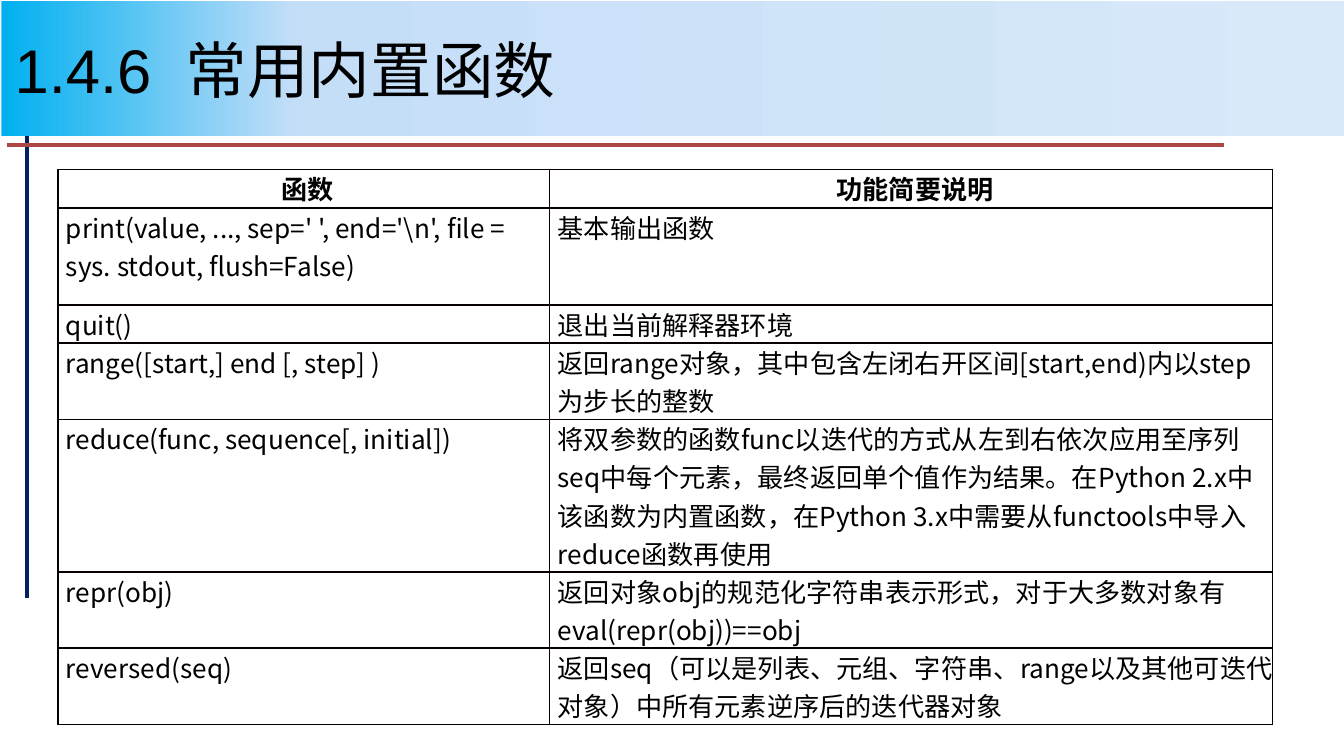
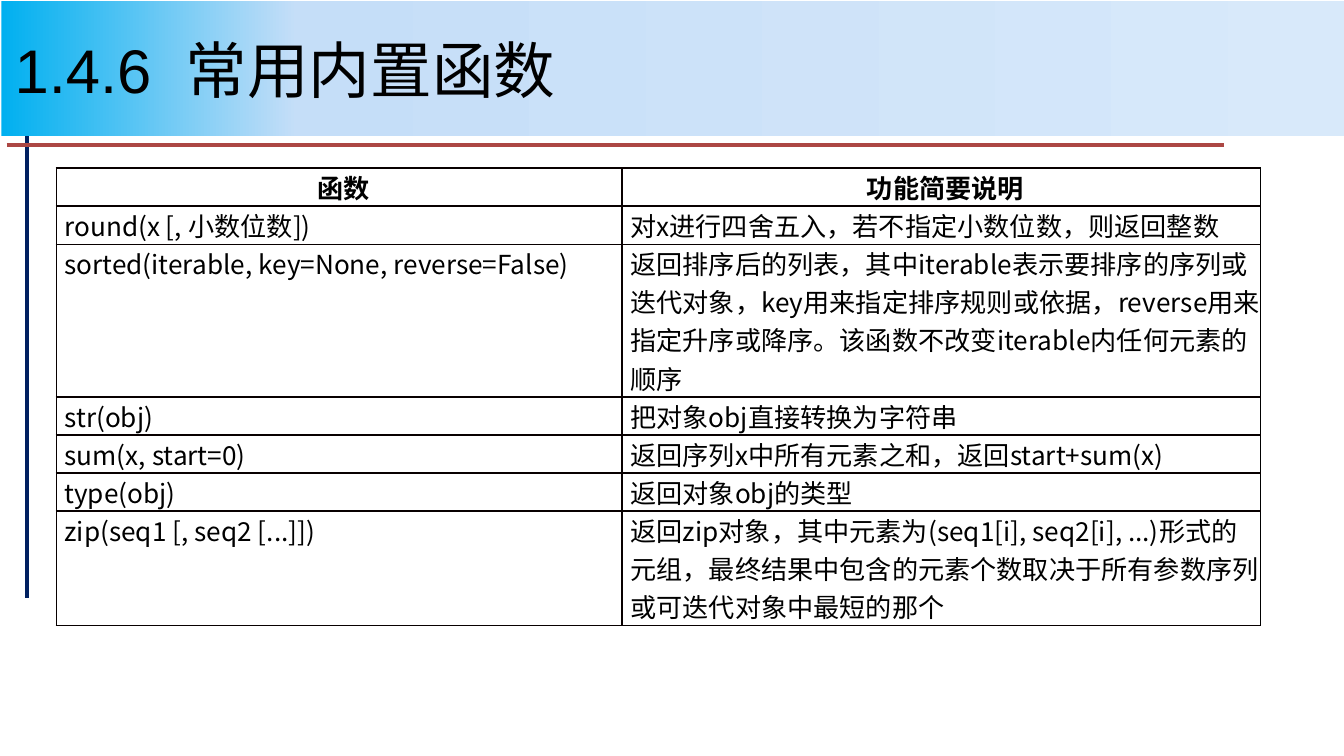
from lxml.etree import SubElement
from pptx import Presentation
from pptx.dml.color import RGBColor
from pptx.enum.shapes import MSO_CONNECTOR, MSO_SHAPE
from pptx.enum.text import MSO_ANCHOR, PP_ALIGN
from pptx.oxml.ns import qn
from pptx.util import Inches, Pt

SLIDE_WIDTH = Inches(10)
SLIDE_HEIGHT = SLIDE_WIDTH * 9 // 16

BLACK = RGBColor(0x00, 0x00, 0x00)
BORDER = RGBColor(0x08, 0x00, 0x00)
NAVY = RGBColor(0x00, 0x20, 0x60)
RED = RGBColor(0xAC, 0x47, 0x44)
# Title band gradient: (position in percent, colour)
BAND_STOPS = [
    (0, RGBColor(0x00, 0xB0, 0xF0)),
    (22, RGBColor(0xC5, 0xDE, 0xF8)),
    (100, RGBColor(0xD8, 0xE9, 0xFA)),
]

TITLE_FONT = "Arial"
BODY_FONT = "Noto Sans CJK SC"
TITLE = "1.4.6  常用内置函数"
HEADER = ("函数", "功能简要说明")

# Functions shown on each slide
FUNCTIONS_PRINT_TO_REVERSED = [
    (r"print(value, ..., sep=' ', end='\n', file = sys. stdout, flush=False)",
     "基本输出函数"),
    ("quit()", "退出当前解释器环境"),
    ("range([start,] end [, step] )",
     "返回range对象，其中包含左闭右开区间[start,end)内以step为步长的整数"),
    ("reduce(func, sequence[, initial])",
     "将双参数的函数func以迭代的方式从左到右依次应用至序列seq中每个元素，"
     "最终返回单个值作为结果。在Python 2.x中该函数为内置函数，"
     "在Python 3.x中需要从functools中导入reduce函数再使用"),
    ("repr(obj)",
     "返回对象obj的规范化字符串表示形式，对于大多数对象有eval(repr(obj))==obj"),
    ("reversed(seq)",
     "返回seq（可以是列表、元组、字符串、range以及其他可迭代对象）"
     "中所有元素逆序后的迭代器对象"),
]
FUNCTIONS_ROUND_TO_ZIP = [
    ("round(x [, 小数位数])", "对x进行四舍五入，若不指定小数位数，则返回整数"),
    ("sorted(iterable, key=None, reverse=False)",
     "返回排序后的列表，其中iterable表示要排序的序列或迭代对象，"
     "key用来指定排序规则或依据，reverse用来指定升序或降序。"
     "该函数不改变iterable内任何元素的顺序"),
    ("str(obj)", "把对象obj直接转换为字符串"),
    ("sum(x, start=0)", "返回序列x中所有元素之和，返回start+sum(x)"),
    ("type(obj)", "返回对象obj的类型"),
    ("zip(seq1 [, seq2 [...]])",
     "返回zip对象，其中元素为(seq1[i], seq2[i], ...)形式的元组，"
     "最终结果中包含的元素个数取决于所有参数序列或可迭代对象中最短的那个"),
]


def format_text(paragraph, size, latin_font, bold=False):
    for run in paragraph.runs:
        font = run.font
        font.size = Pt(size)
        font.name = latin_font
        font.bold = bold
        font.color.rgb = BLACK
        # Chinese characters always use the body typeface
        east_asian = SubElement(font._element, qn("a:ea"))
        east_asian.set("typeface", BODY_FONT)


def add_rule(slide, start, end, color):
    rule = slide.shapes.add_connector(
        MSO_CONNECTOR.STRAIGHT, *map(Inches, start + end))
    rule.line.color.rgb = color
    rule.line.width = Pt(2.25)
    SubElement(rule._element.spPr, qn("a:effectLst"))


def fill_with_gradient(shape, stops):
    shape.fill.gradient()
    shape.fill.gradient_angle = 0
    stop_list = shape._element.spPr.find(".//" + qn("a:gsLst"))
    for old_stop in list(stop_list):
        stop_list.remove(old_stop)
    for percent, color in stops:
        stop = SubElement(stop_list, qn("a:gs"), pos=str(percent * 1000))
        SubElement(stop, qn("a:srgbClr"), val=str(color))


def add_title_band(slide, title):
    band = slide.shapes.add_shape(
        MSO_SHAPE.RECTANGLE, Inches(0.01), Inches(0.01), Inches(9.99), Inches(1))
    band.shadow.inherit = False
    band.line.fill.background()
    fill_with_gradient(band, BAND_STOPS)
    frame = band.text_frame
    frame.text = title
    frame.word_wrap = True
    frame.vertical_anchor = MSO_ANCHOR.MIDDLE
    paragraph = frame.paragraphs[0]
    paragraph.alignment = PP_ALIGN.LEFT
    format_text(paragraph, 33, TITLE_FONT)


def set_borders(cell, right_color, right_width):
    properties = cell._tc.get_or_add_tcPr()
    sides = [("a:lnL", BORDER, 1), ("a:lnR", right_color, right_width),
             ("a:lnT", BORDER, 1), ("a:lnB", BORDER, 1)]
    for tag, color, width in sides:
        line = SubElement(properties, qn(tag), w=str(int(Pt(width))))
        fill = SubElement(line, qn("a:solidFill"))
        SubElement(fill, qn("a:srgbClr"), val=str(color))


def write_cell(cell, text, is_header, is_last):
    cell.margin_left = Inches(0.06)
    cell.margin_right = cell.margin_top = cell.margin_bottom = 0
    if is_last:
        set_borders(cell, BLACK, 0.75)
    else:
        set_borders(cell, BORDER, 1)
    cell.fill.background()
    cell.text_frame.text = text
    paragraph = cell.text_frame.paragraphs[0]
    paragraph.alignment = PP_ALIGN.CENTER if is_header else PP_ALIGN.LEFT
    format_text(paragraph, 14, BODY_FONT, bold=is_header)


def add_function_table(slide, left, top, widths, heights, functions):
    rows = [HEADER] + functions
    table = slide.shapes.add_table(
        len(rows), len(widths), Inches(left), Inches(top),
        Inches(sum(widths)), Inches(sum(heights))).table
    table.first_row = table.horz_banding = False
    for column, width in zip(table.columns, widths):
        column.width = Inches(width)
    for row, height in zip(table.rows, heights):
        row.height = Inches(height)
    for row_index, texts in enumerate(rows):
        for column_index, text in enumerate(texts):
            write_cell(table.cell(row_index, column_index), text,
                       is_header=row_index == 0,
                       is_last=column_index == len(texts) - 1)


def add_function_slide(presentation, **table_layout):
    slide = presentation.slides.add_slide(presentation.slide_layouts[6])
    # Shared rules beside and above the table
    add_rule(slide, (0.2, 0.81), (0.2, 4.45), NAVY)
    add_rule(slide, (0.05, 1.08), (9.11, 1.08), RED)
    add_function_table(slide, **table_layout)
    add_title_band(slide, TITLE)


def main():
    presentation = Presentation()
    presentation.slide_width = SLIDE_WIDTH
    presentation.slide_height = SLIDE_HEIGHT

    # Slide 1: print to reversed
    add_function_slide(
        presentation, left=0.43, top=1.26, widths=[3.66, 5.38],
        heights=[0.29, 0.72, 0.24, 0.47, 0.63, 0.47, 0.48],
        functions=FUNCTIONS_PRINT_TO_REVERSED)

    # Slide 2: round to zip
    add_function_slide(
        presentation, left=0.42, top=1.25, widths=[4.21, 4.75],
        heights=[0.22, 0.25, 0.61, 0.25, 0.25, 0.25, 0.63],
        functions=FUNCTIONS_ROUND_TO_ZIP)

    presentation.save("out.pptx")


if __name__ == "__main__":
    main()
